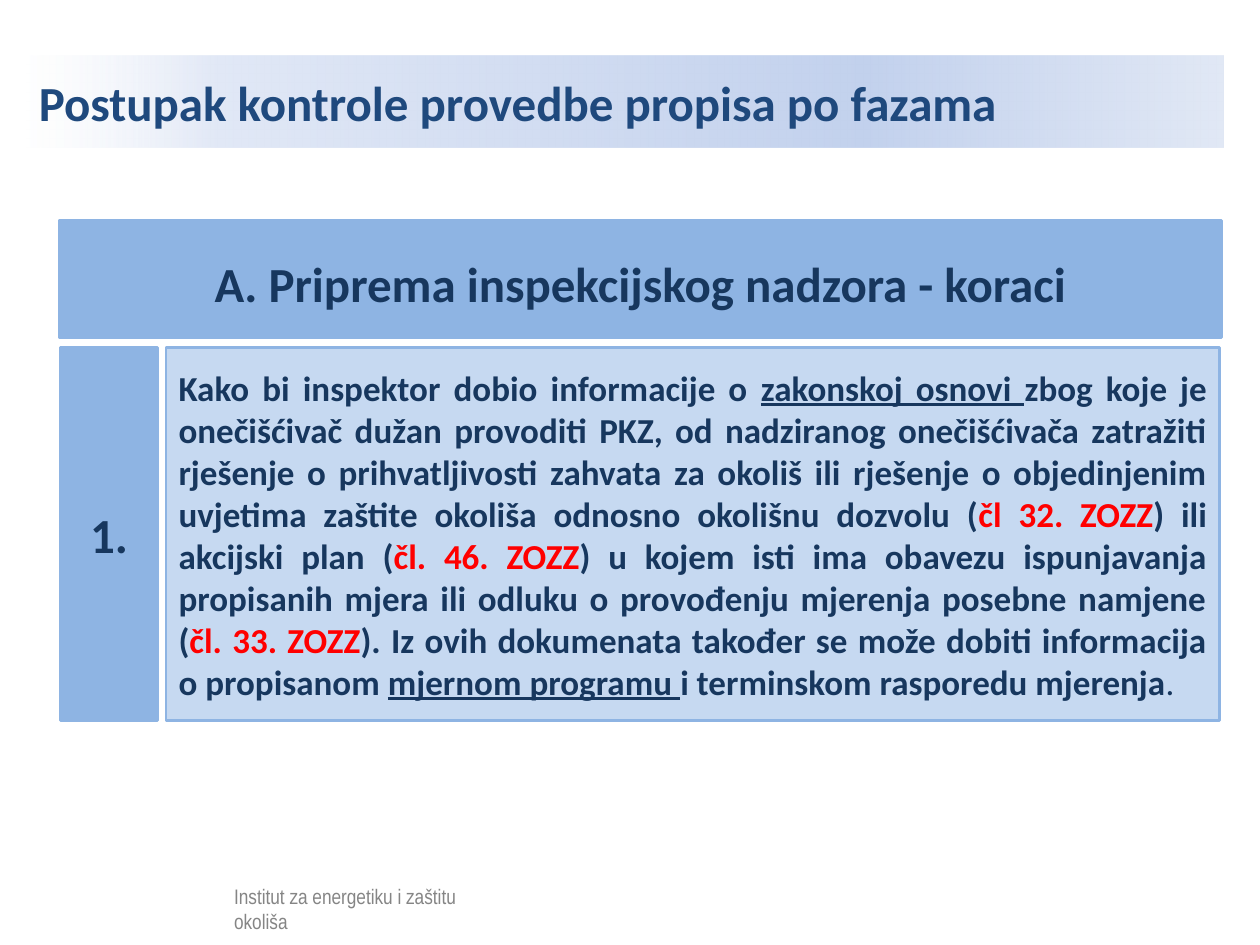
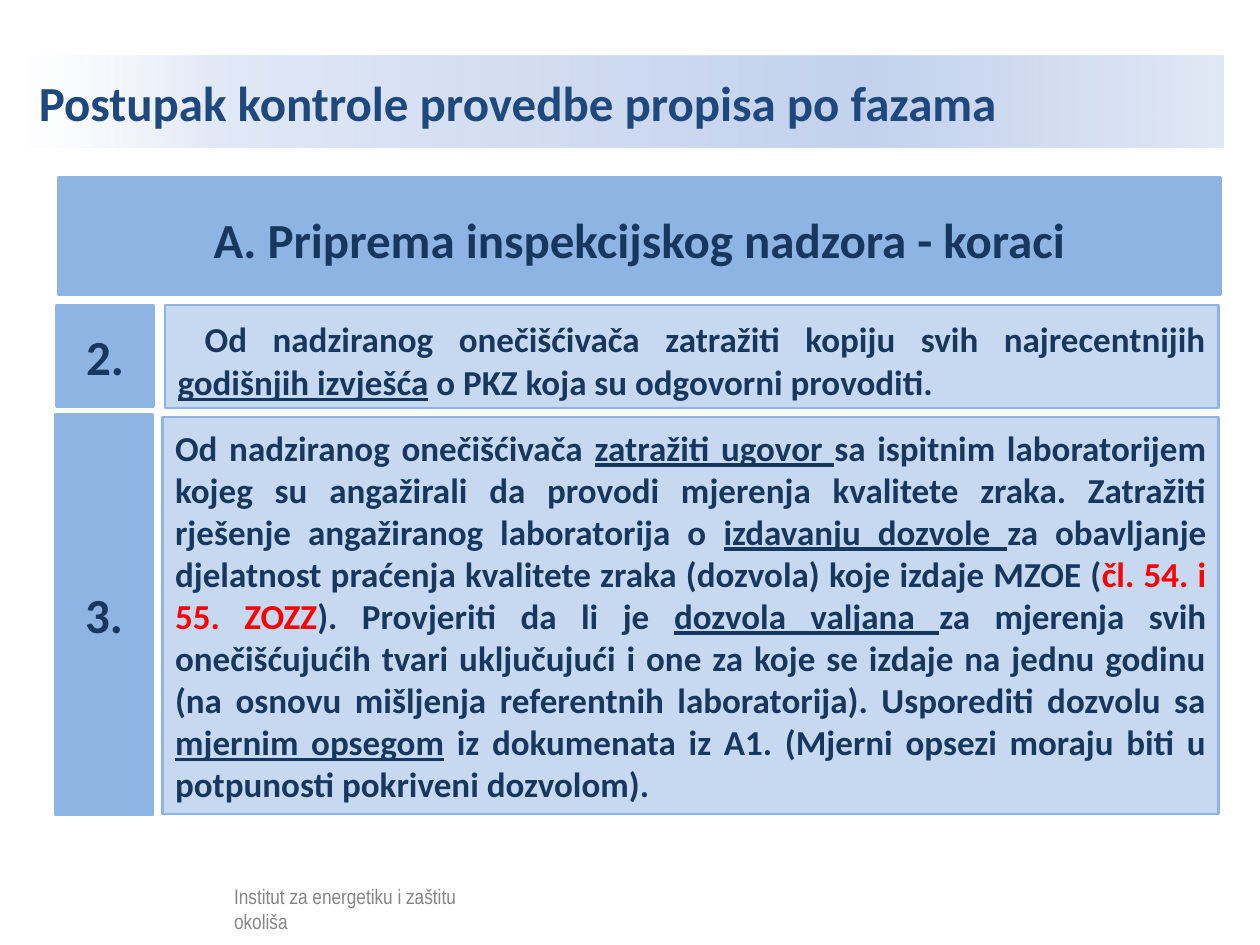
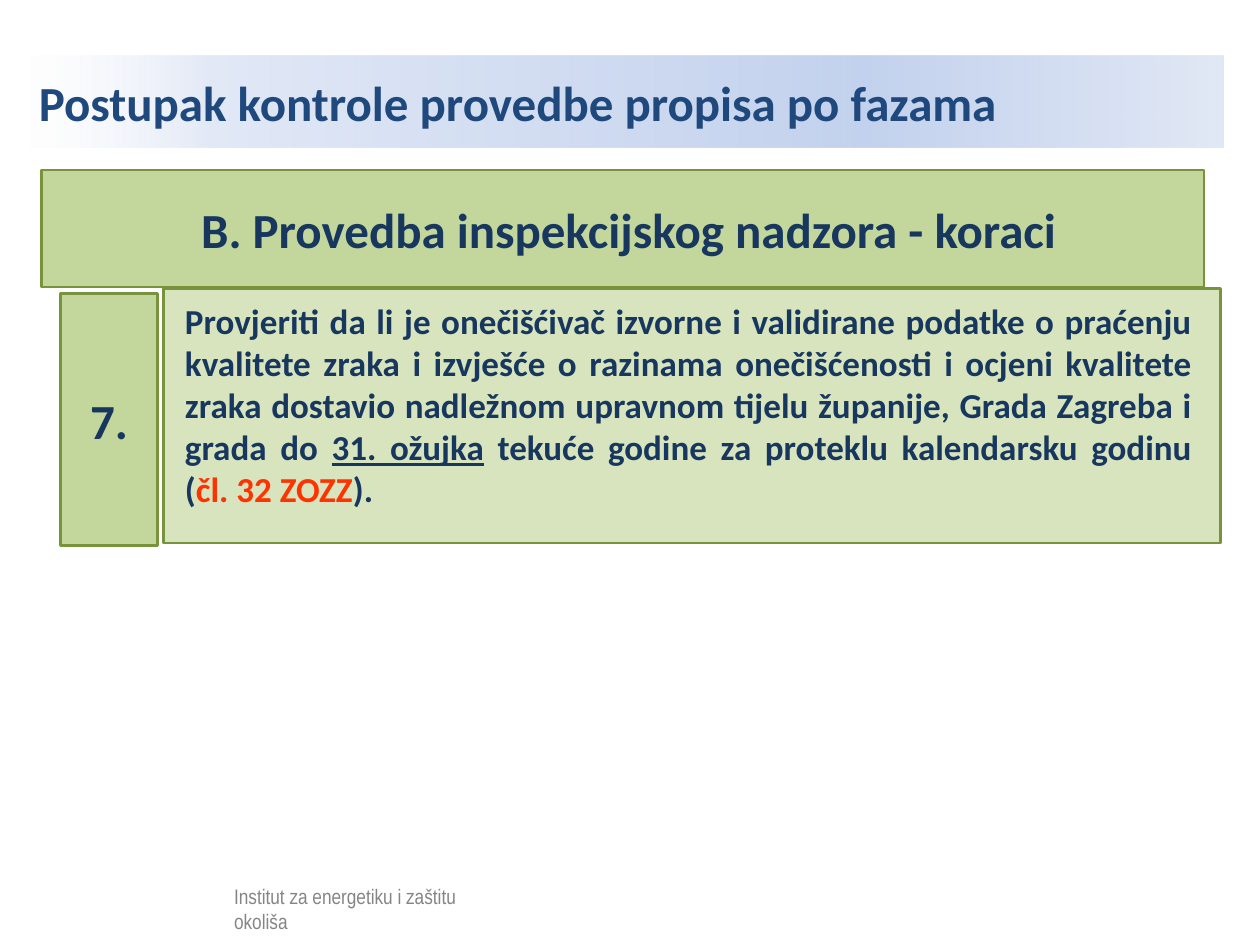
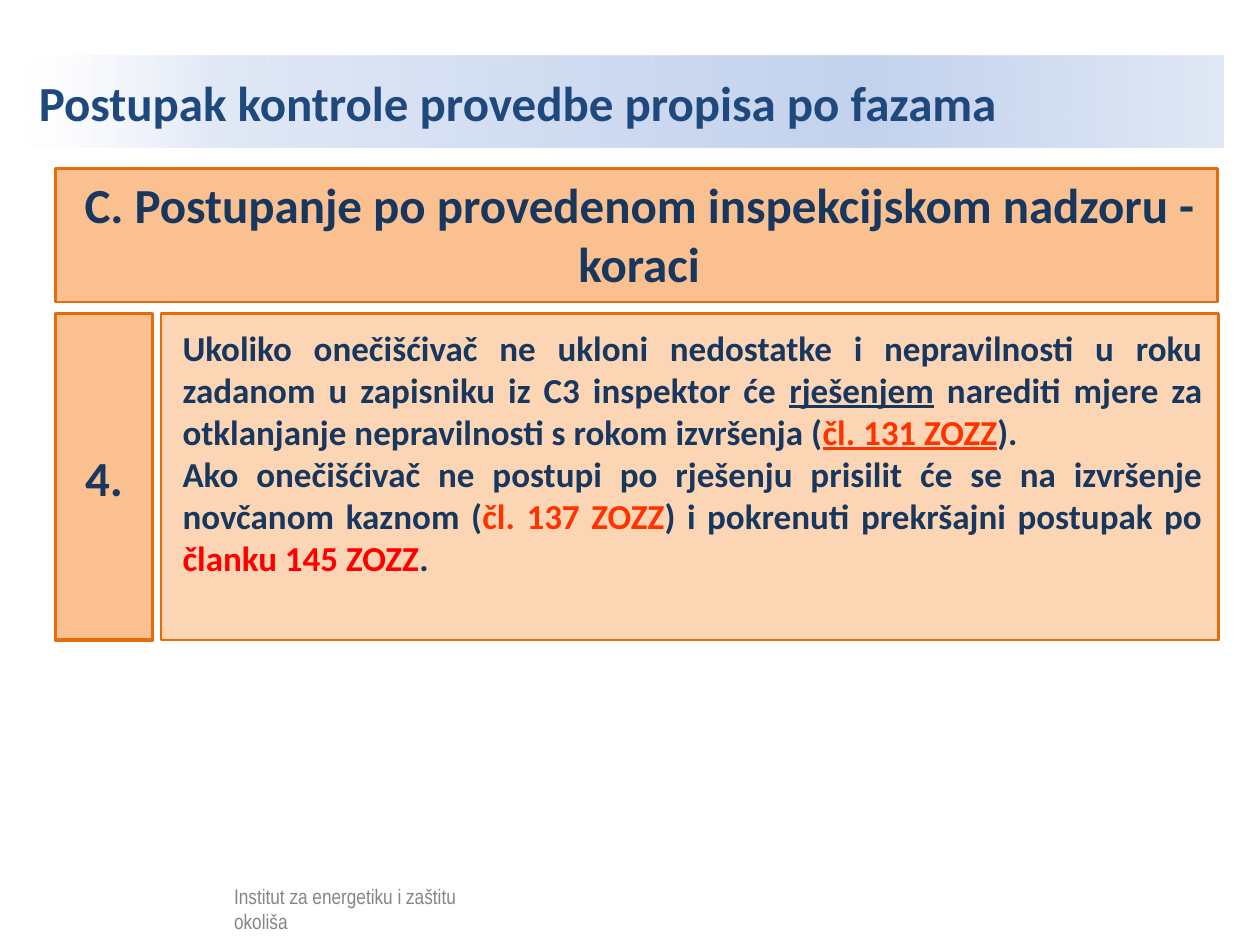
"""Build four slides on the steps of an inspection procedure."""
from pptx import Presentation
from pptx.dml.color import RGBColor
from pptx.enum.shapes import MSO_SHAPE
from pptx.enum.text import MSO_ANCHOR, PP_ALIGN
from pptx.oxml import parse_xml
from pptx.oxml.ns import nsdecls, qn
from pptx.util import Cm, Pt

COLORS = {
    "white": "FFFFFF", "black": "000000", "title": "1F497D", "text": "17375E",
    "red": "FF0000", "orange": "FF3300",
}
THEMES = {
    "blue": {"strong": "8EB4E3", "light": "C6D9F1", "line": "8EB4E3"},
    "green": {"strong": "C3D69B", "light": "D7E4BD", "line": "77933C"},
    "amber": {"strong": "FAC090", "light": "FCD5B5", "line": "E46C0A"},
}
TITLE = "Postupak kontrole provedbe propisa po fazama"
FOOTER = "Institut za energetiku i zaštitu okoliša"
TITLE_BOX = (0.53, 1.12, 24.13, 1.85)
TITLE_INDENT = Cm(2.49)
TITLE_STOPS = [(0, "FFFFFF", 52), (16, "E1E8F6", 100), (70, "C2D1ED", 100), (100, "E1E8F5", 100)]
FOOTER_BOX = (4.47, 17.68, 5.31, 0.64)
VEIL_BOX = (1.04, 17.6, 9.7, 1.22)
VEIL_OPACITY = 52
HEADING_WIDTH = 23.43
BADGE_WIDTH = 1.96
PHASE_A = "A. Priprema inspekcijskog nadzora - koraci"

SLIDES = [
    {
        "theme": "blue", "heading": PHASE_A,
        "heading_band": (1.19, 4.45, 2.36), "heading_text": (1.19, 4.98, 1.45),
        "steps": [{
            "number": "1.", "badge": (1.22, 7.01, 7.52), "panel": (3.35, 7.01, 21.23, 7.52),
            "text": [[
                ("Kako bi inspektor dobio informacije o ", ""),
                ("zakonskoj osnovi ", "underline"),
                ("zbog koje je onečišćivač dužan provoditi PKZ, od nadziranog onečišćivača "
                 "zatražiti rješenje o prihvatljivosti zahvata za okoliš ili rješenje o "
                 "objedinjenim uvjetima zaštite okoliša odnosno okolišnu dozvolu (", ""),
                ("čl 32. ZOZZ", "red"), (") ili akcijski plan (", ""),
                ("čl. 46. ZOZZ", "red"),
                (") u kojem isti ima obavezu ispunjavanja propisanih mjera ili odluku o "
                 "provođenju mjerenja posebne namjene (", ""),
                ("čl. 33. ZOZZ", "red"),
                ("). Iz ovih dokumenata također se može dobiti informacija o propisanom ", ""),
                ("mjernom programu ", "underline"),
                ("i terminskom rasporedu mjerenja", ""), (".", "regular"),
            ]],
        }],
    },
    {
        "theme": "blue", "heading": PHASE_A,
        "heading_band": (1.17, 3.58, 2.36), "heading_text": (1.17, 4.09, 1.45),
        "steps": [{
            "number": "2.", "badge": (1.14, 6.17, 2.03), "panel": (3.33, 6.15, 21.23, 2.08),
            "text": [[
                (" ", "large"),
                ("Od nadziranog onečišćivača zatražiti kopiju svih najrecentnijih ", ""),
                ("godišnjih izvješća", "underline"),
                (" o PKZ koja su odgovorni provoditi.", ""),
            ]],
        }, {
            "number": "3.", "badge": (1.12, 8.36, 8.05), "panel": (3.28, 8.41, 21.29, 8),
            "text": [[
                ("Od nadziranog onečišćivača ", ""), ("zatražiti ugovor ", "underline"),
                ("sa ispitnim laboratorijem kojeg su angažirali da provodi mjerenja kvalitete "
                 "zraka. Zatražiti rješenje angažiranog laboratorija o ", ""),
                ("izdavanju dozvole ", "underline"),
                ("za obavljanje djelatnost praćenja kvalitete zraka (dozvola) koje izdaje "
                 "MZOE (", ""),
                ("čl. 54. i 55. ZOZZ", "red"), ("). Provjeriti da li je ", ""),
                ("dozvola valjana ", "underline"),
                ("za mjerenja svih onečišćujućih tvari uključujući i one za koje se izdaje na "
                 "jednu godinu (na osnovu mišljenja referentnih laboratorija). Usporediti "
                 "dozvolu sa ", ""),
                ("mjernim opsegom", "underline"),
                (" iz dokumenata iz A1. (Mjerni opsezi moraju biti u potpunosti pokriveni "
                 "dozvolom).", ""),
            ]],
        }],
    },
    {
        "theme": "green", "heading": " B. Provedba inspekcijskog nadzora - koraci",
        "heading_band": (0.84, 3.43, 2.36), "heading_text": (0.84, 3.89, 1.45),
        "steps": [{
            "number": "7.", "badge": (1.22, 5.92, 5.08), "panel": (3.3, 5.82, 21.31, 5.13),
            "text_box": (3.48, 5.92, 20.8, 4.52),
            "text": [[
                ("Provjeriti da li je onečišćivač izvorne i validirane podatke o praćenju "
                 "kvalitete zraka i izvješće o razinama onečišćenosti i ocjeni kvalitete zraka "
                 "dostavio nadležnom upravnom tijelu županije, Grada Zagreba i grada do ", ""),
                ("31. ožujka", "underline"),
                (" tekuće godine za proteklu kalendarsku godinu (", ""),
                ("čl. 32 ZOZZ", "orange"), (").", ""),
            ]],
        }],
    },
    {
        "theme": "amber", "heading": "C. Postupanje po provedenom inspekcijskom nadzoru - koraci",
        "heading_band": (1.12, 3.4, 2.69), "heading_text": (1.17, 3.4, 2.64),
        "steps": [{
            "number": "4.", "badge": (1.12, 6.32, 6.58), "panel": (3.25, 6.32, 21.31, 6.58),
            "text_box": (3.43, 6.45, 21.06, 6.25),
            "text": [[
                ("Ukoliko onečišćivač ne ukloni nedostatke i nepravilnosti u roku zadanom u "
                 "zapisniku iz C3 inspektor će ", ""),
                ("rješenjem", "underline"),
                (" narediti mjere za otklanjanje nepravilnosti s rokom izvršenja (", ""),
                ("čl. 131 ZOZZ", "orange underline"), (").", ""),
            ], [
                ("Ako onečišćivač ne postupi po rješenju prisilit će se na izvršenje novčanom "
                 "kaznom (", ""),
                ("čl. 137 ZOZZ", "orange"), (") i pokrenuti prekršajni postupak po ", ""),
                ("članku 145 ZOZZ", "red"), (".", ""),
            ]],
        }],
    },
]


def lengths(place):
    return [Cm(value) for value in place]


def add_span(para, text, size, color, font="Calibri", bold=True):
    span = para.add_run()
    span.text = text
    span.font.name = font
    span.font.size = Pt(size)
    span.font.bold = bold
    span.font.color.rgb = RGBColor.from_string(color)
    return span


def add_rectangle(shapes, place, fill, line=None, width=1.5):
    box = shapes.add_shape(MSO_SHAPE.RECTANGLE, *lengths(place))
    box.shadow.inherit = False
    box.fill.solid()
    box.fill.fore_color.rgb = RGBColor.from_string(fill)
    if line:
        box.line.color.rgb = RGBColor.from_string(line)
        box.line.width = Pt(width)
    else:
        box.line.fill.background()
    return box


def add_text_box(shapes, place):
    box = shapes.add_textbox(*lengths(place))
    box.text_frame.word_wrap = True
    return box


def write_centred(box, text):
    para = box.text_frame.paragraphs[0]
    para.alignment = PP_ALIGN.CENTER
    add_span(para, text, 28, COLORS["text"])


def write_step_text(box, paragraphs):
    frame = box.text_frame
    for index, runs in enumerate(paragraphs):
        para = frame.add_paragraph() if index else frame.paragraphs[0]
        para.alignment = PP_ALIGN.JUSTIFY
        for text, style in runs:
            marks = style.split()
            color = next((COLORS[mark] for mark in marks if mark in COLORS), COLORS["text"])
            span = add_span(para, text, 24 if "large" in marks else 20, color,
                            bold="regular" not in marks)
            if "underline" in marks:
                span.font.underline = True


def add_title(page):
    title = page.shapes.title
    title.left, title.top, title.width, title.height = lengths(TITLE_BOX)
    stops = "".join(
        f'<a:gs pos="{position * 1000}"><a:srgbClr val="{color}">'
        f'<a:alpha val="{opacity * 1000}"/></a:srgbClr></a:gs>'
        for position, color, opacity in TITLE_STOPS)
    title.element.spPr.append(parse_xml(
        f'<a:gradFill {nsdecls("a")} rotWithShape="1"><a:gsLst>{stops}</a:gsLst>'
        '<a:lin ang="0" scaled="1"/></a:gradFill>'))
    title.text_frame.vertical_anchor = MSO_ANCHOR.MIDDLE
    para = title.text_frame.paragraphs[0]
    para.alignment = PP_ALIGN.LEFT
    properties = para._p.get_or_add_pPr()
    properties.set("marL", str(TITLE_INDENT))
    properties.set("indent", str(-TITLE_INDENT))
    add_span(para, TITLE, 28, COLORS["title"])


def add_footer(page):
    group = page.shapes.add_group_shape()
    label = add_text_box(group.shapes, FOOTER_BOX)
    add_span(label.text_frame.paragraphs[0], FOOTER, 12, COLORS["black"], "Arial Narrow", False)
    veil = add_rectangle(group.shapes, VEIL_BOX, COLORS["white"])
    color = veil.element.spPr.find(qn("a:solidFill"))[0]
    color.append(parse_xml(f'<a:alpha {nsdecls("a")} val="{VEIL_OPACITY * 1000}"/>'))


def add_heading(page, content, theme):
    left, top, height = content["heading_band"]
    add_rectangle(page.shapes, (left, top, HEADING_WIDTH, height), theme["strong"], theme["line"])
    left, top, height = content["heading_text"]
    write_centred(add_text_box(page.shapes, (left, top, HEADING_WIDTH, height)),
                  content["heading"])


def add_step(page, step, theme):
    panel = add_rectangle(page.shapes, step["panel"], theme["light"], theme["line"])
    left, top, height = step["badge"]
    badge = add_rectangle(page.shapes, (left, top, BADGE_WIDTH, height),
                          theme["strong"], theme["line"], 2)
    for box in (panel, badge):
        box.text_frame.word_wrap = True
        box.text_frame.vertical_anchor = MSO_ANCHOR.MIDDLE
    write_centred(badge, step["number"])
    target = add_text_box(page.shapes, step["text_box"]) if "text_box" in step else panel
    write_step_text(target, step["text"])


def main():
    deck = Presentation()
    deck.slide_width, deck.slide_height = Cm(25.4), Cm(19.05)
    for content in SLIDES:
        page = deck.slides.add_slide(deck.slide_layouts[5])
        theme = THEMES[content["theme"]]
        add_title(page)
        add_footer(page)
        add_heading(page, content, theme)
        for step in content["steps"]:
            add_step(page, step, theme)
    deck.save("out.pptx")


if __name__ == "__main__":
    main()
